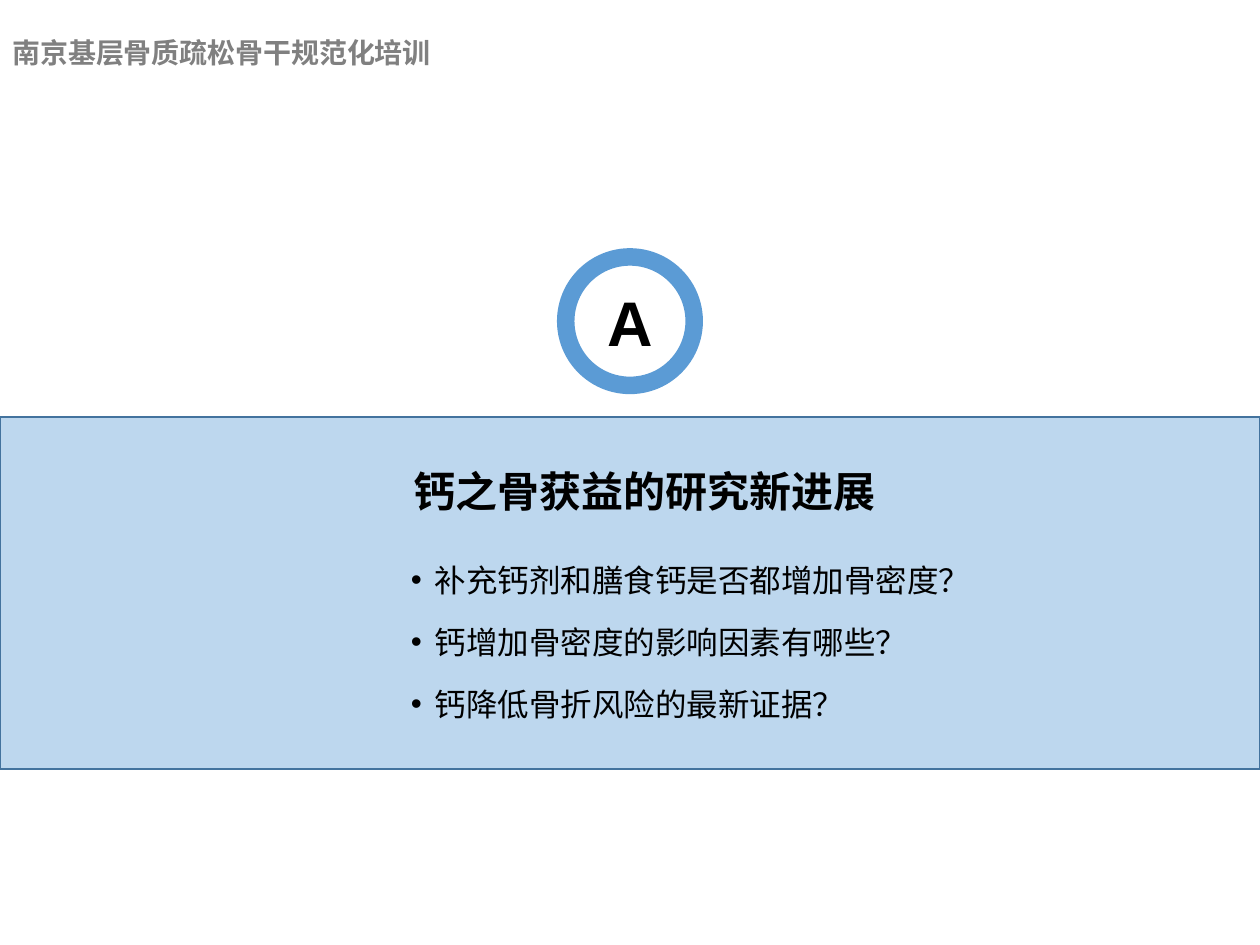
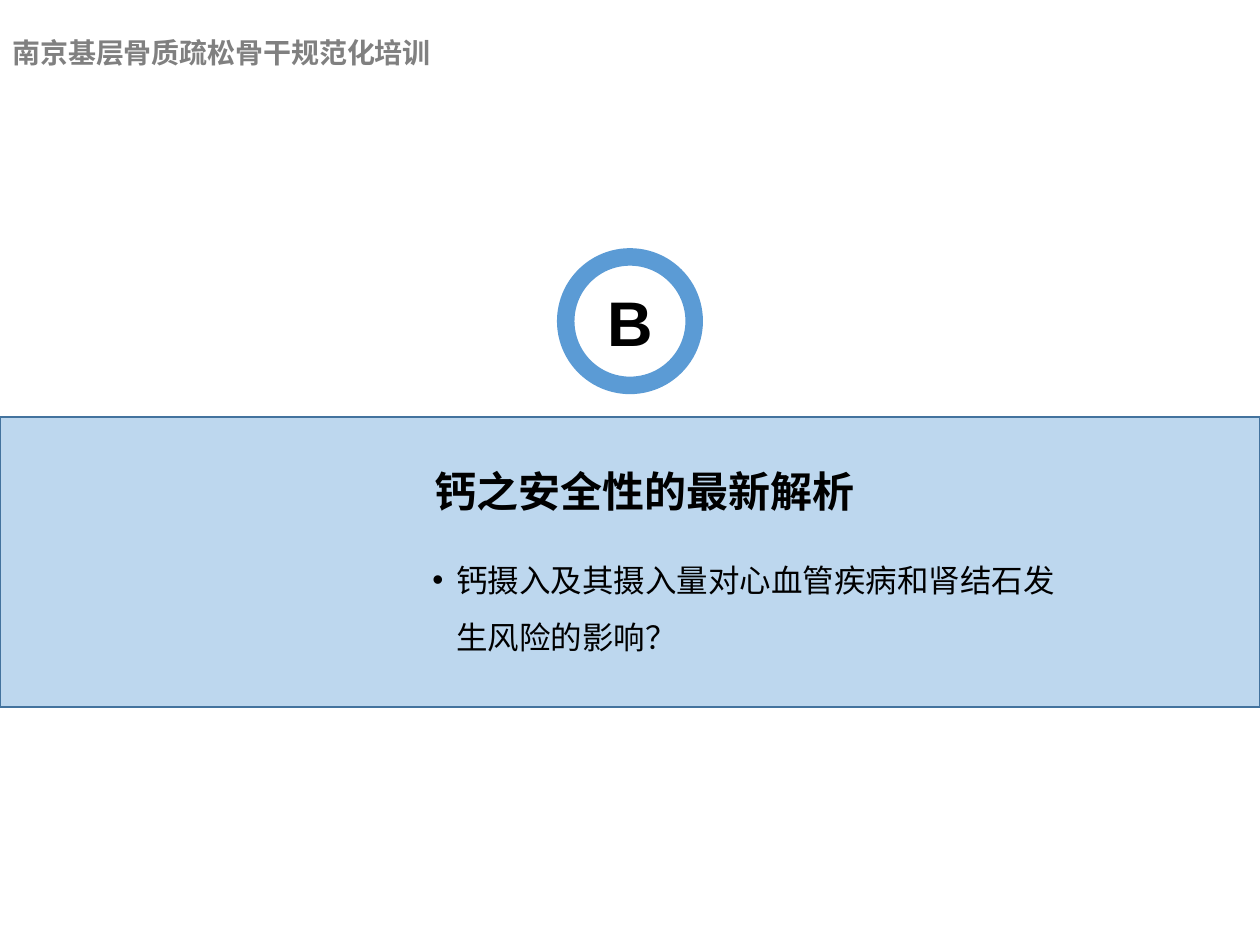
from lxml import etree
from pptx import Presentation
from pptx.dml.color import RGBColor
from pptx.enum import shapes, text
from pptx.oxml.ns import qn
from pptx.util import Cm, Pt

HEX = {"band": "BDD7EE", "edge": "43739E", "ring": "5B9BD5",
       "ink": "000000", "grey": "808080", "white": "FFFFFF"}
COURSE = "南京基层骨质疏松骨干规范化培训"
WIDE, HIGH = 25.4, 19.05
BAND_TOP = 8.41
RING = 2.59
INDENT = 0.48

# letter, title, questions, band height, text left, title width, list width
PARTS = [
    ("A", "钙之骨获益的研究新进展",
     ["补充钙剂和膳食钙是否都增加骨密度？",
      "钙增加骨密度的影响因素有哪些？",
      "钙降低骨折风险的最新证据？"],
     7.09, 8.03, 9.91, 15.62),
    ("B", "钙之安全性的最新解析",
     ["钙摄入及其摄入量对心血管疾病和肾结石发生风险的影响？"],
     5.84, 8.46, 9.07, 13.11),
]


def rgb(name):
    return RGBColor.from_string(HEX[name])


def style(para, size, color="ink", bold=False, font="Arial",
          align=text.PP_ALIGN.LEFT):
    para.alignment = align
    para.font.name, para.font.size, para.font.bold = font, Pt(size), bold
    para.font.color.rgb = rgb(color)


def place(shape, box):
    shape.left, shape.top, shape.width, shape.height = map(Cm, box)


def draw(slide, kind, box, fill=None, line=None, weight=1):
    shape = slide.shapes.add_shape(kind, *map(Cm, box))
    shape.shadow.inherit = False
    if fill:
        shape.fill.solid()
        shape.fill.fore_color.rgb = rgb(fill)
    else:
        shape.fill.background()
    if line:
        shape.line.color.rgb = rgb(line)
        shape.line.width = Pt(weight)
    else:
        shape.line.fill.background()
    return shape


def header(slide, box):
    bar = draw(slide, shapes.MSO_SHAPE.RECTANGLE, box, "white")
    bar.text_frame.text = COURSE
    bar.text_frame.vertical_anchor = text.MSO_ANCHOR.MIDDLE
    style(bar.text_frame.paragraphs[0], 16, "grey", True, "Noto Sans CJK SC")


def badge(slide, box, letter):
    ring = draw(slide, shapes.MSO_SHAPE.OVAL, box, line="ring", weight=10)
    ring.text_frame.text = letter
    ring.text_frame.vertical_anchor = text.MSO_ANCHOR.MIDDLE
    style(ring.text_frame.paragraphs[0], 36, bold=True,
          align=text.PP_ALIGN.CENTER)


def fill_frame(holder, box, wrap):
    """Move a placeholder into its box and return its top-anchored frame."""
    place(holder, box)
    frame = holder.text_frame
    frame.word_wrap = wrap
    frame.auto_size = text.MSO_AUTO_SIZE.NONE
    frame.vertical_anchor = text.MSO_ANCHOR.TOP
    return frame


def bullet(para):
    props = para._p.get_or_add_pPr()
    props.set("marL", str(Cm(INDENT)))
    props.set("indent", str(-Cm(INDENT)))
    etree.SubElement(props, qn("a:buFont")).set("typeface", "Arial")
    etree.SubElement(props, qn("a:buChar")).set("char", "•")


def panel(slide, box, title, items, inset, title_w, list_w):
    left, top, _, height = box
    band = draw(slide, shapes.MSO_SHAPE.RECTANGLE, box, "band", "edge")
    # The placeholders already exist, so the band goes behind them.
    band.element.getparent().insert(2, band.element)

    head = fill_frame(slide.shapes.title,
                      (left + inset, top + 0.84, title_w, 1.27), False)
    head.text = title
    style(head.paragraphs[0], 24, bold=True, align=text.PP_ALIGN.CENTER)

    body = fill_frame(slide.placeholders[1],
                      (left + inset, top + 2.39, list_w, height - 3.2), True)
    body.text = "\n".join(items)
    for para in body.paragraphs:
        style(para, 18)
        para.line_spacing = 1.5
        para.space_before = Pt(3)
        bullet(para)


def section(deck, letter, title, items, height, inset, title_w, list_w):
    slide = deck.slides.add_slide(deck.slide_layouts[1])
    panel(slide, (0, BAND_TOP, WIDE, height), title, items,
          inset, title_w, list_w)
    badge(slide, ((WIDE - RING) / 2, BAND_TOP - RING - 0.64, RING, RING),
          letter)
    header(slide, (0, 0, 24.92, 2.13))


def main():
    deck = Presentation()
    deck.slide_width, deck.slide_height = Cm(WIDE), Cm(HIGH)
    for part in PARTS:
        section(deck, *part)
    deck.save("out.pptx")


if __name__ == "__main__":
    main()
